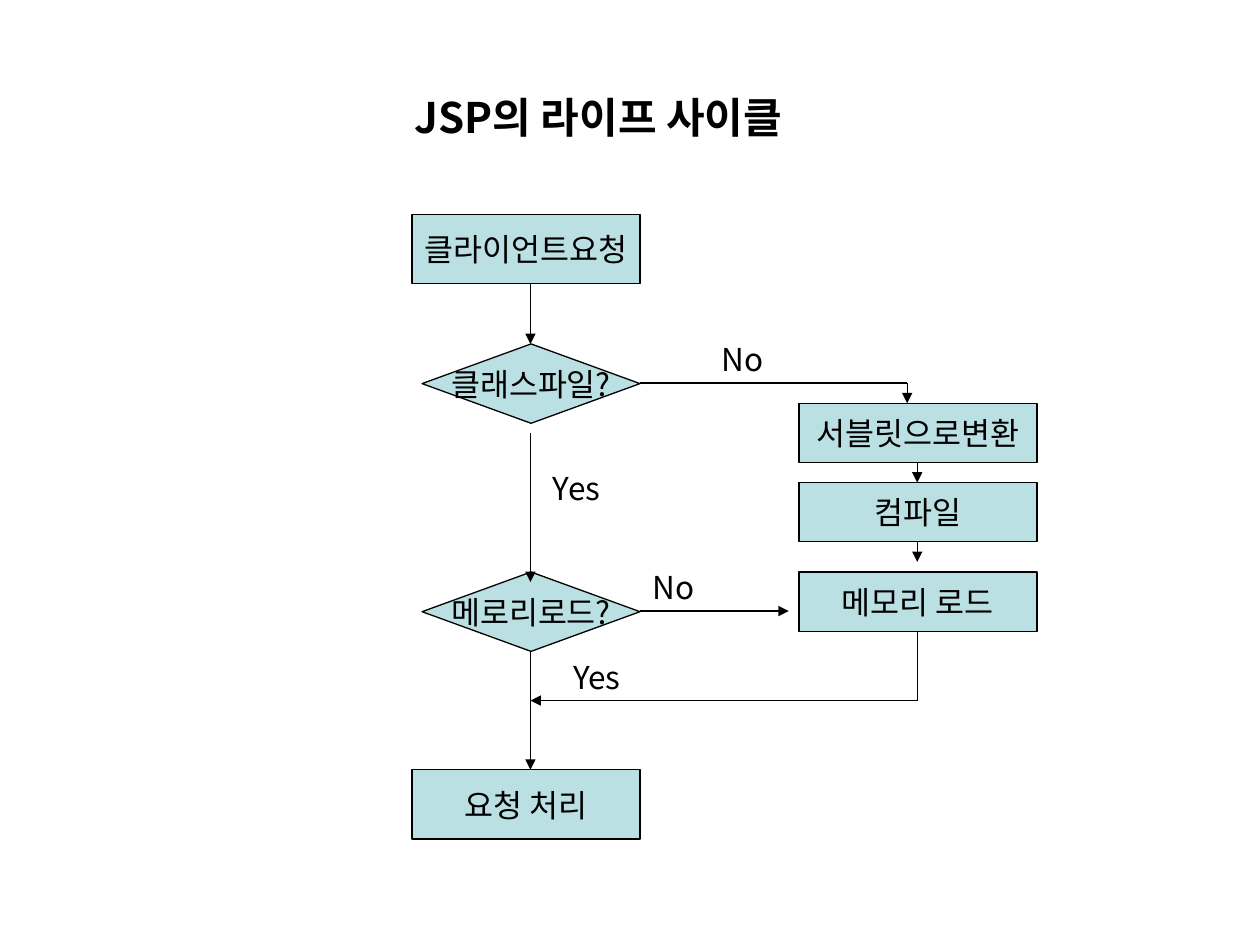
import dataclasses

import pptx
import pptx.dml.color
import pptx.enum.dml
import pptx.enum.shapes
import pptx.enum.text
import pptx.oxml
import pptx.oxml.ns
import pptx.util
from lxml import etree

Inches = pptx.util.Inches
Pt = pptx.util.Pt
Shape = pptx.enum.shapes.MSO_SHAPE
Align = pptx.enum.text.PP_ALIGN
Anchor = pptx.enum.text.MSO_ANCHOR
qn = pptx.oxml.ns.qn


@dataclasses.dataclass(frozen=True)
class Theme:
    """Colours, font and sizes of the slide."""
    font: str = "Noto Sans CJK KR"
    ink: str = "000000"
    fill: str = "BBE0E3"
    title_size: float = 24
    body_size: float = 18
    line_width: float = 0.75


def color(value):
    """Turn a hex string into a colour."""
    return pptx.dml.color.RGBColor.from_string(value)


def write_text(frame, text, theme, size=18, bold=False, align=Align.LEFT,
               anchor=Anchor.TOP, wrap=True, before=0):
    """Put one formatted paragraph into a text frame."""
    frame.word_wrap = wrap
    frame.auto_size = pptx.enum.text.MSO_AUTO_SIZE.NONE
    frame.vertical_anchor = anchor
    paragraph = frame.paragraphs[0]
    paragraph.alignment = align
    paragraph.space_before = Pt(before)
    run = paragraph.add_run()
    run.text = text
    run.font.size = Pt(size)
    run.font.bold = bold
    run.font.name = theme.font
    run.font.color.rgb = color(theme.ink)
    east_asian = etree.SubElement(run.font._element, qn("a:ea"))
    east_asian.set("typeface", theme.font)


class FlowSlide:
    """Draws flowchart elements on one slide in one style."""

    def __init__(self, slide, theme):
        self.slide = slide
        self.theme = theme

    def title(self, text, left, top, width, height):
        """Place and fill the title placeholder."""
        shape = self.slide.shapes.title
        shape.left, shape.top = Inches(left), Inches(top)
        shape.width, shape.height = Inches(width), Inches(height)
        write_text(shape.text_frame, text, self.theme, bold=True,
                   size=self.theme.title_size, before=15)

    def node(self, kind, text, left, top, width, height):
        """Add a filled step or decision."""
        shape = self.slide.shapes.add_shape(
            kind, Inches(left), Inches(top), Inches(width), Inches(height))
        shape.shadow.inherit = False
        shape.fill.solid()
        shape.fill.fore_color.rgb = color(self.theme.fill)
        shape.line.color.rgb = color(self.theme.ink)
        shape.line.width = Pt(self.theme.line_width)
        write_text(shape.text_frame, text, self.theme, align=Align.CENTER,
                   size=self.theme.body_size, anchor=Anchor.MIDDLE, wrap=False)

    def label(self, text, left, top, width):
        """Add a branch label."""
        shape = self.slide.shapes.add_textbox(
            Inches(left), Inches(top), Inches(width), Inches(0.4))
        write_text(shape.text_frame, text, self.theme,
                   size=self.theme.body_size, before=11.2)

    def line(self, start, end, arrow=True):
        """Add a straight line, with an arrowhead at its end if asked."""
        connector = self.slide.shapes.add_connector(
            pptx.enum.shapes.MSO_CONNECTOR.STRAIGHT,
            *(Inches(value) for value in (*start, *end)))
        connector.line.color.rgb = color(self.theme.ink)
        connector.line.width = Pt(self.theme.line_width)
        properties = connector._element.spPr
        if arrow:
            tail = etree.SubElement(properties.find(qn("a:ln")), qn("a:tailEnd"))
            tail.set("type", "triangle")
        etree.SubElement(properties, qn("a:effectLst"))


def main():
    """Build the flowchart of the JSP life cycle."""
    presentation = pptx.Presentation()
    presentation.slide_width = Inches(10)
    presentation.slide_height = Inches(7.5)
    slide = presentation.slides.add_slide(presentation.slide_layouts[5])
    flow = FlowSlide(slide, Theme())
    flow.title("JSP의 라이프 사이클", 3.19, 0.68, 3.7, 0.5)

    for text, top in (("클라이언트요청", 1.7), ("요청 처리", 6.11)):
        flow.node(Shape.RECTANGLE, text, 3.27, top, 1.81, 0.55)
    for text, top in (("클래스파일?", 2.73), ("메로리로드?", 4.54)):
        flow.node(Shape.DIAMOND, text, 3.35, top, 1.73, 0.63)
    for text, top in (("서블릿으로변환", 3.2), ("컴파일", 3.83), ("메모리 로드", 4.54)):
        flow.node(Shape.RECTANGLE, text, 6.34, top, 1.89, 0.47)

    main_x, side_x, turn_x, branch_x = 4.21, 7.28, 7.2, 5.08
    branch_y, merge_y = 3.04, 5.56
    for x, top, bottom in (
            (main_x, 2.25, 2.73), (main_x, 3.44, 4.62), (main_x, 5.17, 6.11),
            (turn_x, branch_y, 3.2), (side_x, 3.67, 3.83), (side_x, 4.3, 4.46)):
        flow.line((x, top), (x, bottom))
    flow.line((branch_x, branch_y), (turn_x, branch_y), arrow=False)
    flow.line((side_x, 5.01), (side_x, merge_y), arrow=False)
    flow.line((side_x, merge_y), (main_x, merge_y))
    flow.line((branch_x, 4.85), (6.26, 4.85))

    for text, left, top, width in (
            ("No", 5.63, 2.65, 1.18), ("Yes", 4.29, 3.67, 0.87),
            ("No", 5.08, 4.46, 0.87), ("Yes", 4.45, 5.17, 1.02)):
        flow.label(text, left, top, width)

    presentation.save("out.pptx")


if __name__ == "__main__":
    main()
